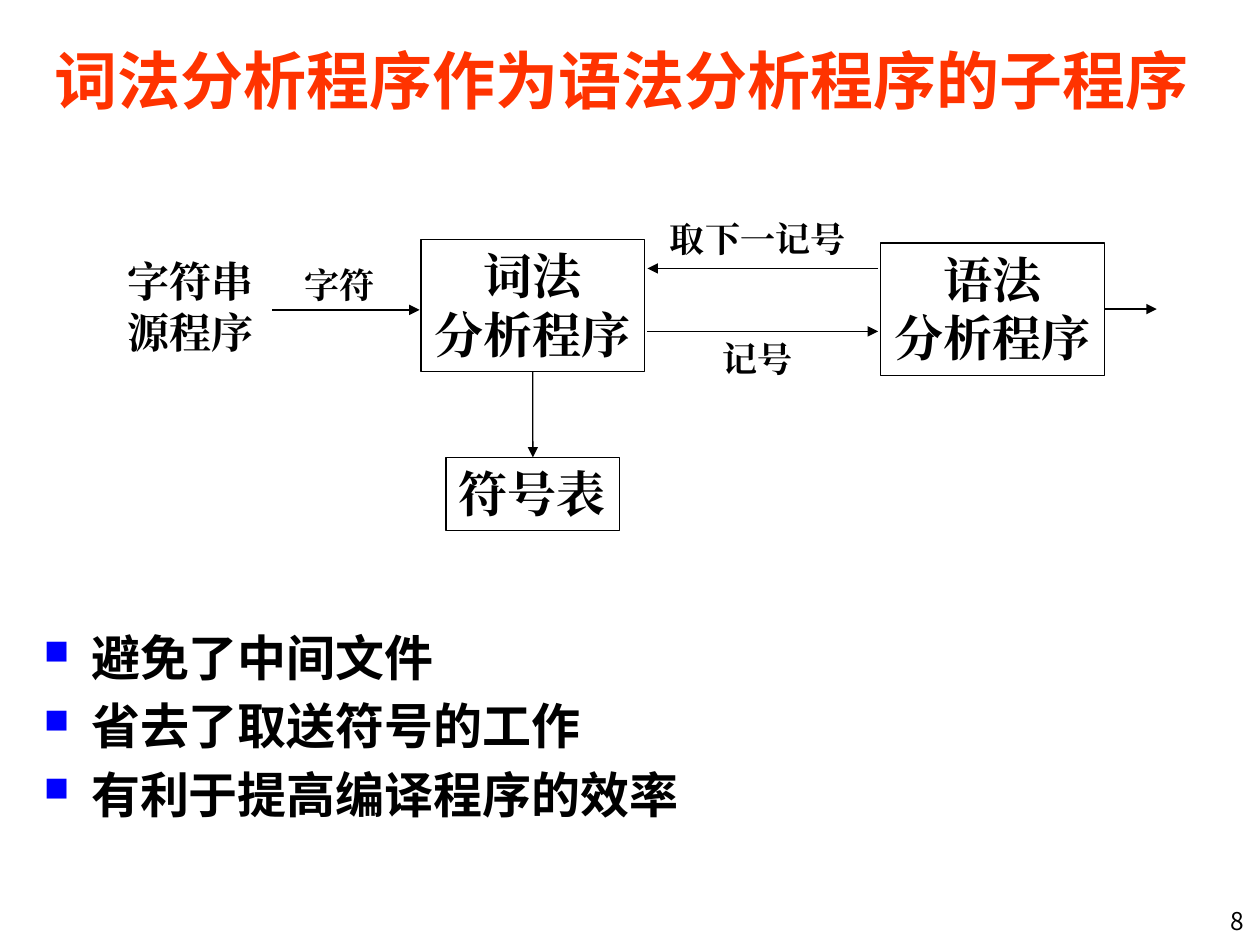
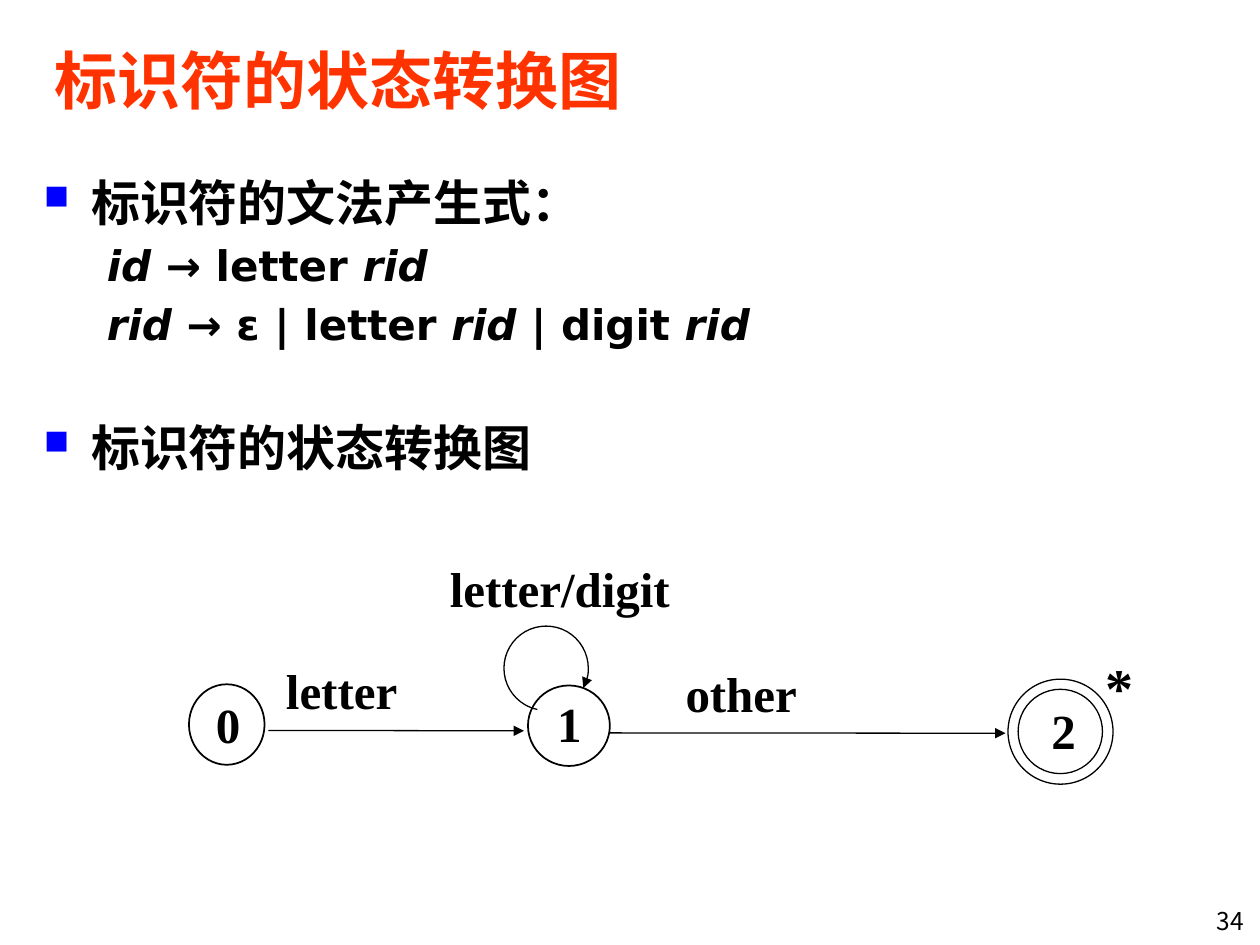
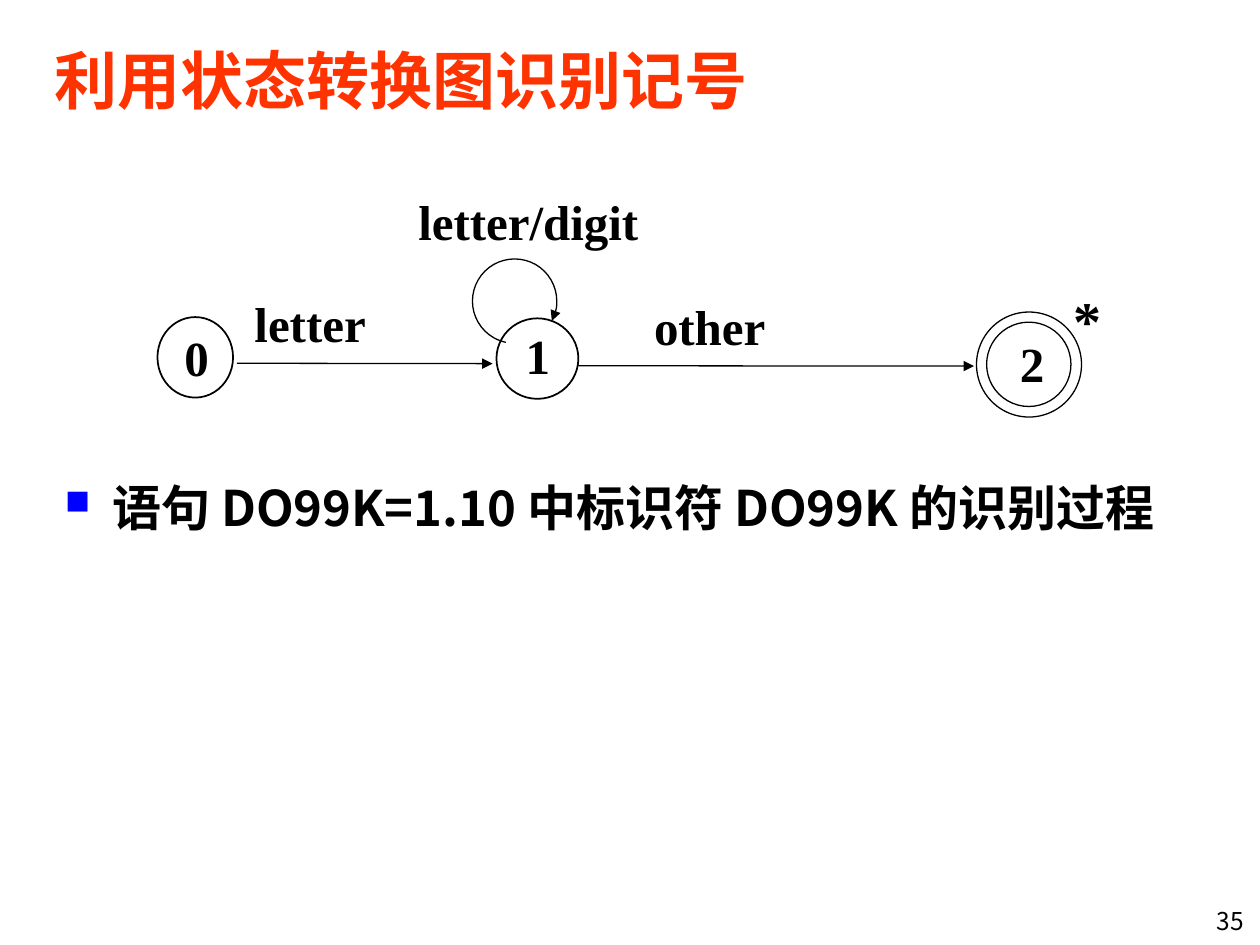
from lxml import etree
from pptx import Presentation
from pptx.dml.color import RGBColor
from pptx.enum.shapes import MSO_CONNECTOR, MSO_SHAPE
from pptx.enum.text import MSO_ANCHOR, PP_ALIGN
from pptx.oxml.ns import qn
from pptx.util import Pt

LEFT, CENTER, RIGHT, JUSTIFY = PP_ALIGN.LEFT, PP_ALIGN.CENTER, PP_ALIGN.RIGHT, PP_ALIGN.JUSTIFY
RECTANGLE, OVAL, ARC = MSO_SHAPE.RECTANGLE, MSO_SHAPE.OVAL, MSO_SHAPE.ARC
STRAIGHT = MSO_CONNECTOR.STRAIGHT
MIDDLE = MSO_ANCHOR.MIDDLE
TOP_SIDE, BOTTOM_SIDE, RIGHT_SIDE = 0, 2, 3

COLORS = {"title": "FF3300", "text": "000000", "line": "000000", "bullet": "0000FF"}
SANS, LATIN_SANS, SERIF = "Noto Sans CJK SC", "DejaVu Sans", "Times New Roman"
LINE_RATIO, GAP_RATIO = 1.17, 0.23


def rgb(name):
    return RGBColor.from_string(COLORS[name])


def style_runs(paragraph, size, font=SERIF, color="text", bold=True):
    """Format all runs, using one font for Latin and East Asian text."""
    for run in paragraph.runs:
        run.font.size = Pt(size)
        run.font.bold = bold
        run.font.name = font
        run.font.color.rgb = rgb(color)
        east_asian = etree.SubElement(run.font._element, qn("a:ea"))
        east_asian.set("typeface", font)


def set_line_height(paragraph, size):
    paragraph.line_spacing = Pt(round(size * LINE_RATIO, 1))


def add_label(slide, text, box, size, align=LEFT, font=SERIF, color="text",
              bold=True, wrap=False, inset=None):
    label = slide.shapes.add_textbox(*map(Pt, box))
    frame = label.text_frame
    frame.word_wrap = wrap
    if inset is not None:
        frame.margin_left = frame.margin_right = Pt(inset)
        frame.margin_top = frame.margin_bottom = Pt(inset)
    frame.text = text
    for paragraph in frame.paragraphs:
        paragraph.alignment = align
        style_runs(paragraph, size, font, color, bold)
    return label


def add_outline(slide, preset, box, width=0.75):
    outline = slide.shapes.add_shape(preset, *map(Pt, box))
    outline.shadow.inherit = False
    outline.fill.background()
    outline.line.color.rgb = rgb("line")
    outline.line.width = Pt(width)
    return outline


def add_process(slide, text, box, align=CENTER):
    process = add_outline(slide, RECTANGLE, box)
    frame = process.text_frame
    frame.word_wrap = False
    frame.vertical_anchor = MSO_ANCHOR.TOP
    frame.text = text
    for paragraph in frame.paragraphs:
        paragraph.alignment = align
        style_runs(paragraph, 28)
    return process


def add_arrowhead(shape):
    tip = etree.SubElement(shape.line._get_or_add_ln(), qn("a:tailEnd"))
    tip.set("type", "triangle")


def add_arrow(slide, start, end):
    arrow = slide.shapes.add_connector(STRAIGHT, *map(Pt, (*start, *end)))
    arrow.line.color.rgb = rgb("line")
    arrow.line.width = Pt(0.75)
    add_arrowhead(arrow)
    etree.SubElement(arrow._element.spPr, qn("a:effectLst"))
    return arrow


def add_bullet(paragraph):
    properties = paragraph._p.get_or_add_pPr()
    color = etree.SubElement(properties, qn("a:buClr"))
    etree.SubElement(color, qn("a:srgbClr")).set("val", COLORS["bullet"])
    etree.SubElement(properties, qn("a:buSzPct")).set("val", "70000")
    etree.SubElement(properties, qn("a:buChar")).set("char", "■")


def add_body(slide, items, box, font=SANS, align=LEFT):
    """Items are bullet strings, or lists of (text, italic) for sub-lines."""
    frame = slide.shapes.add_textbox(*map(Pt, box)).text_frame
    frame.word_wrap = True
    after_sub_line = False
    for index, item in enumerate(items):
        paragraph = frame.paragraphs[0] if index == 0 else frame.add_paragraph()
        is_bullet = isinstance(item, str)
        size, margin, indent = (28, 27, -27) if is_bullet else (24, 58.5, -22.5)
        gap = size * GAP_RATIO
        if is_bullet and after_sub_line:
            gap += 24 * (LINE_RATIO + GAP_RATIO)
        after_sub_line = not is_bullet
        paragraph.alignment = align
        paragraph.space_before = Pt(round(gap, 1))
        set_line_height(paragraph, size)
        properties = paragraph._p.get_or_add_pPr()
        properties.set("marL", str(Pt(margin)))
        properties.set("indent", str(Pt(indent)))
        if is_bullet:
            paragraph.text = item
            add_bullet(paragraph)
        else:
            for text, italic in item:
                run = paragraph.add_run()
                run.text = text
                run.font.italic = italic
        style_runs(paragraph, size, font)


def add_page(deck, title, number):
    slide = deck.slides.add_slide(deck.slide_layouts[6])
    footer = add_label(slide, number, (661, 514.8, 57, 21.6), 14, RIGHT, SANS,
                       bold=False, wrap=True)
    set_line_height(footer.text_frame.paragraphs[0], 14)
    heading = add_label(slide, title, (23.8, 12.2, 678, 66.2), 36, LEFT, SANS,
                        "title", wrap=True)
    heading.text_frame.vertical_anchor = MIDDLE
    return slide


def add_state_diagram(slide, left, top):
    """Draw the identifier automaton; (left, top) is the corner of state 0."""
    def at(x, y, *size):
        return (left + x, top + y, *size)

    for name, x, y in (("0", 0, 5), ("1", 195.1, 4.3), ("2", 477.4, 8.6)):
        add_label(slide, name, at(x, y, 44.6, 44), 28, CENTER, wrap=True, inset=0.75)
    for x, y, width, height, stroke in (
        (0, 0, 43.2, 46, 1),
        (193.7, 0.7, 46.8, 46, 1),
        (473.8, 2.9, 48.2, 48.2, 0.75),
        (468, -2.9, 60, 60, 0.75),
    ):
        add_outline(slide, OVAL, at(x, y, width, height), stroke)
    add_arrow(slide, at(45.4, 26.4), at(191.5, 26.6))
    add_arrow(slide, at(240.5, 27.8), at(466.6, 28))
    for text, x, y, width, size in (
        ("letter/digit", 148.3, -72.7, 170, 28),
        ("letter", 54.7, -14.4, 125, 28),
        ("other", 283, -12.4, 113, 28),
        ("*", 522.7, -18.9, 29.5, 32),
    ):
        add_label(slide, text, at(x, y, width, 52), size, JUSTIFY, wrap=True, inset=0.75)

    loop = add_outline(slide, ARC, at(180, -33.2, 48.2, 48.2))
    for index, degrees in enumerate((102, 28)):
        loop.adjustments[index] = degrees * 0.6
    add_arrowhead(loop)


def add_subroutine_slide(deck):
    slide = add_page(deck, "词法分析程序作为语法分析程序的子程序", "8")
    add_body(slide, ["避免了中间文件", "省去了取送符号的工作", "有利于提高编译程序的效率"],
             (18, 355.7, 684, 148.3), align=JUSTIFY)
    parser = add_process(slide, "语法\n分析程序", (503.3, 138.8, 127.8, 75.6))
    lexer = add_process(slide, "词法\n分析程序", (240.5, 136.8, 127.8, 75.6))
    symbol_table = add_process(slide, "符号表", (254.8, 261.4, 99.4, 41.8), LEFT)

    for text, x, y, width, height, size in (
        ("取下一记号", 375.8, 121, 115.2, 31, 20),
        ("字符串", 65.5, 142.6, 87, 36, 24),
        ("源程序", 65.5, 171.4, 87, 36, 24),
        ("字符", 167, 146.9, 54.7, 31, 20),
        ("记号", 406, 189.4, 54.7, 31, 20),
    ):
        add_label(slide, text, (x, y, width, height), size)

    add_arrow(slide, (501.8, 153.4), (370, 153.4))
    add_arrow(slide, (370, 189.4), (501.8, 189.4))
    add_arrow(slide, (155.5, 177.1), (239.8, 177.1))
    result = add_arrow(slide, (631.1, 176.6), (661, 176.6))
    result.begin_connect(parser, RIGHT_SIDE)
    lookup = add_arrow(slide, (304.4, 212.4), (304.4, 261.4))
    lookup.begin_connect(lexer, BOTTOM_SIDE)
    lookup.end_connect(symbol_table, TOP_SIDE)


def add_identifier_slide(deck):
    slide = add_page(deck, "标识符的状态转换图", "34")
    add_body(slide, [
        "标识符的文法产生式：",
        [("id ", True), ("→ letter ", False), ("rid", True)],
        [("rid ", True), ("→ ε | letter ", False), ("rid", True),
         (" | digit ", False), ("rid", True)],
        "标识符的状态转换图",
    ], (18, 95.8, 684, 203.8), LATIN_SANS)
    add_state_diagram(slide, 108, 391)


def add_recognition_slide(deck):
    slide = add_page(deck, "利用状态转换图识别记号", "35")
    add_body(slide, ["语句 DO99K=1.10 中标识符 DO99K 的识别过程"], (30, 270, 690, 66.2))
    add_state_diagram(slide, 90, 181.2)


def main():
    deck = Presentation()
    deck.slide_width, deck.slide_height = Pt(720), Pt(540)
    add_subroutine_slide(deck)
    add_identifier_slide(deck)
    add_recognition_slide(deck)
    deck.save("out.pptx")


if __name__ == "__main__":
    main()
